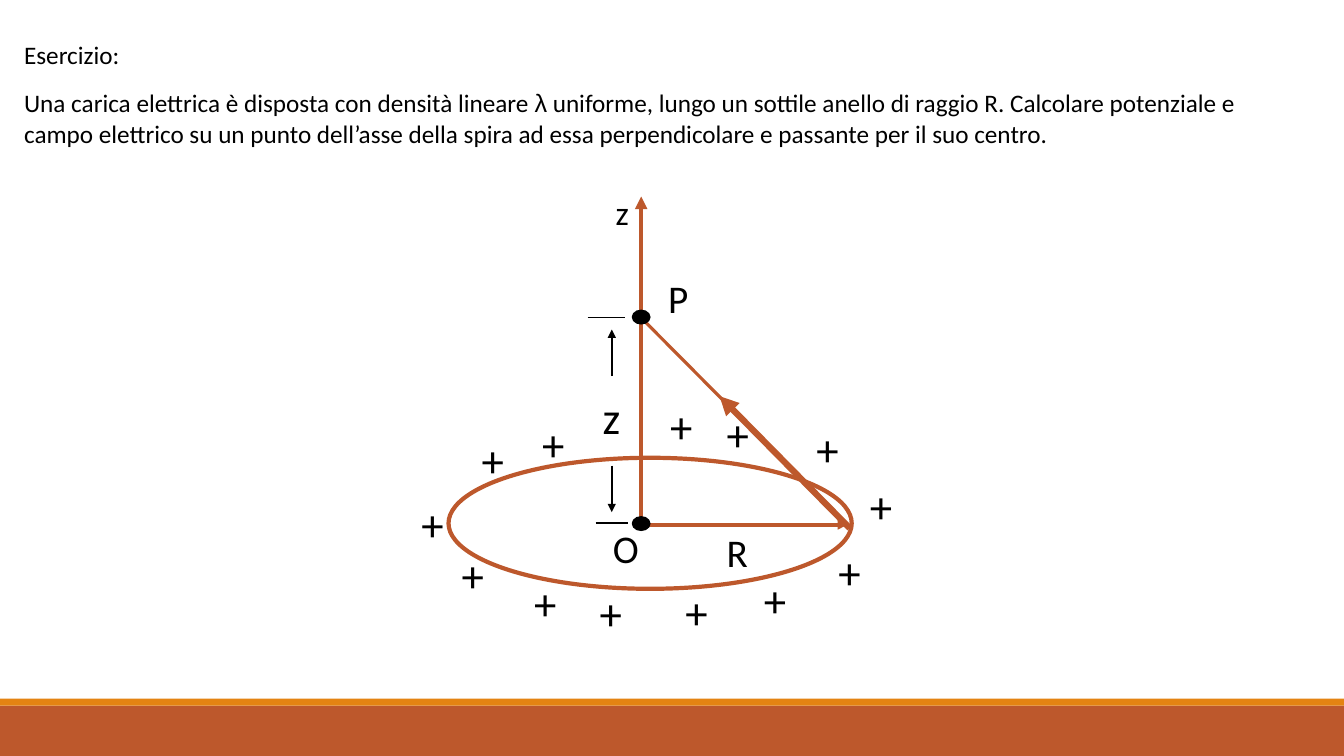
from lxml import etree
from pptx import Presentation
from pptx.dml.color import RGBColor
from pptx.enum.shapes import MSO_CONNECTOR, MSO_SHAPE
from pptx.enum.text import MSO_ANCHOR, MSO_AUTO_SIZE, PP_ALIGN
from pptx.oxml.ns import qn
from pptx.util import Pt

RECT, OVAL = MSO_SHAPE.RECTANGLE, MSO_SHAPE.OVAL
STRAIGHT = MSO_CONNECTOR.STRAIGHT
LEFT, TOP = PP_ALIGN.LEFT, MSO_ANCHOR.TOP
FIXED = MSO_AUTO_SIZE.NONE

RUST, ORANGE, BLACK = "BD582C", "E48312", "000000"

AXIS_X, P_Y, O_Y, RIM_X = 458, 227, 375, 605
DOT_W, DOT_H = 12.2, 9.4
HEIGHT_X = 437
PLUS_W, PLUS_H = 37.4, 46
CHARGES = [
    (322.6, 388), (337, 305.3), (293.8, 351.4), (576, 298), (471.6, 281.5),
    (380.2, 293.8), (538.6, 405.4), (482.4, 414), (421.2, 414.7),
    (374.4, 407.5), (591.8, 385.2), (614.2, 338.4), (511.9, 287.3),
]
LABELS = [
    ("P", 470.2, 192.2, 68.4, 41, 28),
    ("R", 511.9, 373.7, 68.4, 41, 28),
    ("O", 430.6, 370.8, 68.4, 41, 28),
    ("z", 423.4, 275, 27.4, 46, 32),
    ("z", 432.7, 133.2, 24.5, 36, 24),
]
PROBLEM = [
    ("Una carica elettrica è disposta con densità lineare ", "Calibri"),
    ("λ", "Arial"),
    (" uniforme, lungo un sottile anello di raggio R. Calcolare potenziale e "
     "campo elettrico su un punto dell’asse della spira ad essa perpendicolare "
     "e passante per il suo centro.", "Calibri"),
]


def rgb(value):
    return RGBColor.from_string(value)


def write(frame, text, size=18, font="Calibri", color=BLACK):
    """Fill a frame with one left-aligned paragraph; text is a string or (text, font) pairs."""
    frame.word_wrap = True
    frame.auto_size = FIXED
    frame.vertical_anchor = TOP
    paragraph = frame.paragraphs[0]
    paragraph.alignment = LEFT
    paragraph.space_before = Pt(0)
    for part, face in [(text, font)] if isinstance(text, str) else text:
        run = paragraph.add_run()
        run.text = part
        run.font.name = face
        run.font.size = Pt(size)
        run.font.color.rgb = rgb(color)


class Diagram:
    """Draws styled elements on one slide, with lengths in points."""

    def __init__(self, slide):
        self.slide = slide
        self.shapes = slide.shapes

    def shape(self, kind, x, y, w, h, fill=None, line=None, weight=1):
        item = self.shapes.add_shape(kind, Pt(x), Pt(y), Pt(w), Pt(h))
        item.shadow.inherit = False
        if fill:
            item.fill.solid()
            item.fill.fore_color.rgb = rgb(fill)
        else:
            item.fill.background()
        if line:
            item.line.color.rgb = rgb(line)
            item.line.width = Pt(weight)
        else:
            item.line.fill.background()

    def line(self, start, end, color, weight, arrow=False):
        item = self.shapes.add_connector(STRAIGHT, *map(Pt, start + end))
        item.line.color.rgb = rgb(color)
        item.line.width = Pt(weight)
        if arrow:
            etree.SubElement(item.line._get_or_add_ln(), qn("a:tailEnd"), type="triangle")
        etree.SubElement(item._element.spPr, qn("a:effectLst"))

    def label(self, text, x, y, w, h, size):
        box = self.shapes.add_textbox(Pt(x), Pt(y), Pt(w), Pt(h))
        write(box.text_frame, text, size=size)

    def placeholder(self, index, text, x, y, w, h):
        holder = self.slide.placeholders[index]
        holder.left, holder.top, holder.width, holder.height = map(Pt, (x, y, w, h))
        properties = holder.text_frame.paragraphs[0]._p.get_or_add_pPr()
        properties.set("marL", "0")
        properties.set("indent", "0")
        etree.SubElement(properties, qn("a:buNone"))
        write(holder.text_frame, text)


def main():
    deck = Presentation()
    deck.slide_width, deck.slide_height = Pt(960), Pt(540)
    diagram = Diagram(deck.slides.add_slide(deck.slide_layouts[1]))

    diagram.placeholder(0, "Esercizio:", 10, 24.5, 84, 29)
    diagram.placeholder(1, PROBLEM, 10, 59, 915, 51)

    diagram.shape(RECT, 0, 504, 960, 36, fill=RUST)
    diagram.shape(RECT, 0, 499, 960, 5, fill=ORANGE)

    diagram.shape(OVAL, 320.4, 327, 288, 93.6, line=RUST, weight=3)
    diagram.line((AXIS_X, O_Y), (AXIS_X, 140.4), RUST, 3, arrow=True)
    diagram.line((AXIS_X, O_Y), (RIM_X, O_Y), RUST, 2.25, arrow=True)
    diagram.line((AXIS_X, P_Y), (RIM_X, O_Y), RUST, 2.25)
    diagram.line((607, 377.3), (514, 283), RUST, 4.5, arrow=True)

    for start, end in ((268.6, 235.4), (332.6, 365.8)):
        diagram.line((HEIGHT_X, start), (HEIGHT_X, end), BLACK, 1.5, arrow=True)
    for left, right, y in ((425.5, 448.6, 373.7), (419.8, 446.4, P_Y)):
        diagram.line((left, y), (right, y), BLACK, 1)
    for y in (P_Y - 0.5, O_Y - 1):
        diagram.shape(OVAL, AXIS_X - DOT_W / 2, y - DOT_H / 2, DOT_W, DOT_H,
                      fill=BLACK, line=BLACK, weight=1.25)

    for label in LABELS:
        diagram.label(*label)
    for x, y in CHARGES:
        diagram.label("+", x, y, PLUS_W, PLUS_H, 32)

    deck.save("out.pptx")


if __name__ == "__main__":
    main()
